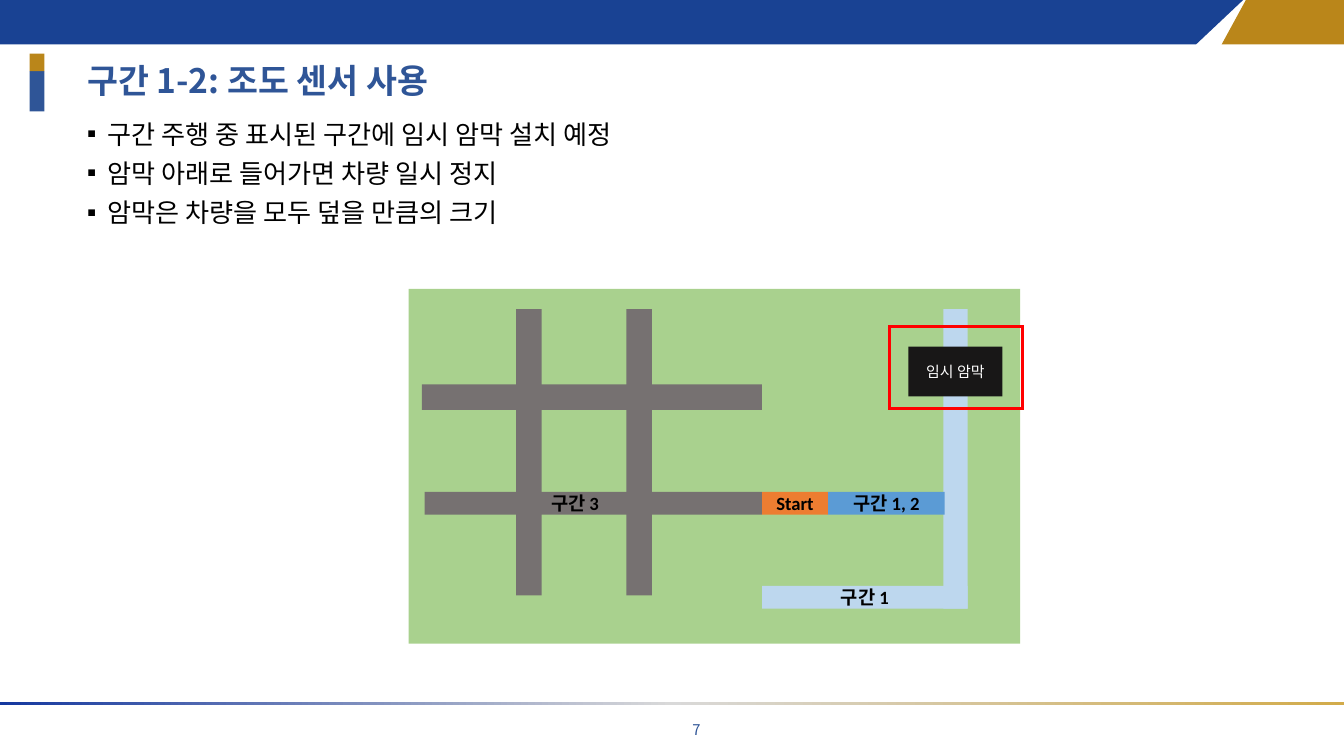
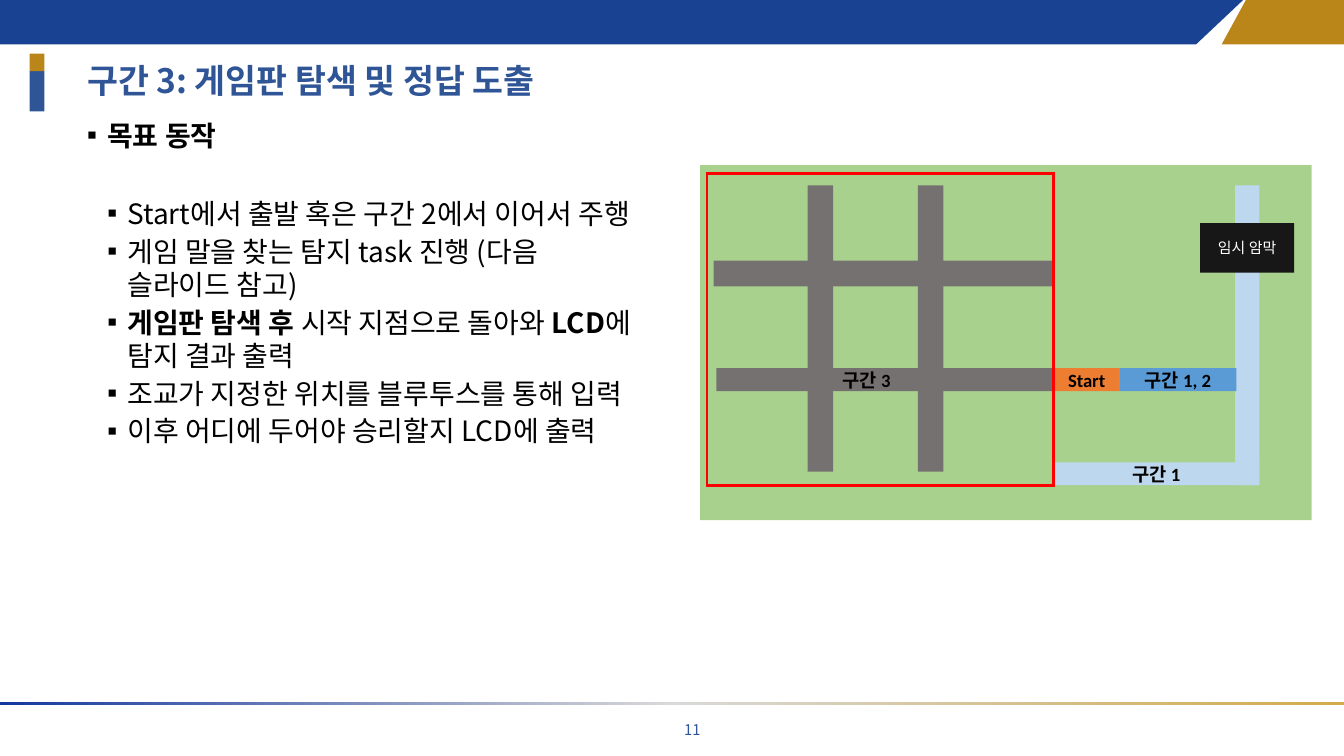
from typing import NamedTuple, Optional

from lxml import etree
from pptx import Presentation
from pptx.dml.color import RGBColor
from pptx.enum import shapes, text
from pptx.oxml import ns
from pptx.util import Inches, Pt

NAVY = RGBColor(0x19, 0x42, 0x93)
BLUE = RGBColor(0x2F, 0x55, 0x97)
GOLD = RGBColor(0xBA, 0x86, 0x1A)
BLACK = RGBColor(0, 0, 0)
WHITE = RGBColor(0xFF, 0xFF, 0xFF)
RED = RGBColor(0xFF, 0, 0)
GRASS = RGBColor(0xA9, 0xD1, 0x8E)
PALE_ROAD = RGBColor(0xBD, 0xD7, 0xEE)
BLUE_ROAD = RGBColor(0x5B, 0x9B, 0xD5)
GREY_ROAD = RGBColor(0x76, 0x71, 0x71)
ORANGE = RGBColor(0xED, 0x7D, 0x31)
CURTAIN = RGBColor(0x18, 0x17, 0x17)
RULE_STOPS = (
    RGBColor(0x15, 0x38, 0x9F),
    RGBColor(0xD9, 0xD9, 0xD9),
    RGBColor(0xD2, 0xAB, 0x4A),
)
KOREAN = "Noto Sans CJK KR"
LATIN = "Calibri"
ROAD = 0.19
LANE = 0.17


class Box(NamedTuple):
    left: float
    top: float
    width: float
    height: float


class Run(NamedTuple):
    words: str
    bold: bool = False


class Bullet(NamedTuple):
    runs: tuple[Run, ...]
    level: int = 0
    before: float = 4.2


class MapPart(NamedTuple):
    box: Box
    color: RGBColor
    label: str = ""
    size: float = 10
    label_color: RGBColor = BLACK
    bold: bool = True
    label_left: Optional[float] = None


class Page(NamedTuple):
    number: int
    title: str
    bullets: tuple[Bullet, ...]
    body_width: float
    body_size: float
    map_left: float
    map_top: float
    highlight: Box


COURSE_MAP = (
    MapPart(Box(0, 0, 4.55, 2.64), GRASS),
    MapPart(Box(2.63, 2.21, 1.53, LANE), PALE_ROAD, "구간 1"),
    MapPart(Box(3.98, 0.15, 0.18, 2.23), PALE_ROAD),
    MapPart(Box(3.72, 0.43, 0.7, 0.37), CURTAIN, "임시 암막", 8, WHITE, False),
    MapPart(Box(3.12, 1.51, 0.87, LANE), BLUE_ROAD, "구간 1, 2"),
    MapPart(Box(2.63, 1.51, 0.49, LANE), ORANGE, "Start"),
    MapPart(Box(0.12, 1.51, 2.51, LANE), GREY_ROAD, "구간 3", label_left=0.94),
    MapPart(Box(1.62, 0.15, ROAD, 2.13), GREY_ROAD),
    MapPart(Box(0.1, 0.71, 2.53, ROAD), GREY_ROAD),
    MapPart(Box(0.8, 0.15, ROAD, 2.13), GREY_ROAD),
)

PAGES = (
    Page(
        7,
        "구간 1-2: 조도 센서 사용",
        (
            Bullet((Run("구간 주행 중 표시된 구간에 임시 암막 설치 예정"),)),
            Bullet((Run("암막 아래로 들어가면 차량 일시 정지"),)),
            Bullet((Run("암막은 차량을 모두 덮을 만큼의 크기"),)),
        ),
        8.76, 14, 3.04, 2.15,
        Box(6.62, 2.43, 0.99, 0.61),
    ),
    Page(
        11,
        "구간 3: 게임판 탐색 및 정답 도출",
        (
            Bullet((Run("목표 동작", True),)),
            Bullet((Run("Start에서 출발 혹은 구간 2에서 이어서 주행"),), 1, 24),
            Bullet((Run("게임 말을 찾는 탐지 task 진행 (다음 슬라이드 참고)"),), 1, 2.1),
            Bullet(
                (
                    Run("게임판 탐색 후 ", True),
                    Run("시작 지점으로 돌아와 "),
                    Run("LCD", True),
                    Run("에 탐지 결과 출력"),
                ),
                1, 2.1,
            ),
            Bullet((Run("조교가 지정한 위치를 블루투스를 통해 입력"),), 1, 2.1),
            Bullet((Run("이후 어디에 두어야 승리할지 LCD에 출력"),), 1, 2.1),
        ),
        4.33, 15, 5.21, 1.23,
        Box(5.26, 1.29, 2.58, 2.32),
    ),
)


def place(box: Box) -> tuple:
    return tuple(Inches(length) for length in box)


def add_run(paragraph, words: str, *, size: float, color: RGBColor = BLACK,
            bold: bool = False, latin: str = KOREAN) -> None:
    run = paragraph.add_run()
    run.text = words
    font = run.font
    font.size, font.bold, font.name = Pt(size), bold, latin
    font.color.rgb = color


def add_text(slide, box: Box, words: str, *, size: float, bold: bool = False,
             align=text.PP_ALIGN.LEFT, spacing: float = 1.0) -> None:
    frame = slide.shapes.add_textbox(*place(box)).text_frame
    frame.word_wrap = True
    frame.vertical_anchor = text.MSO_ANCHOR.MIDDLE
    paragraph = frame.paragraphs[0]
    paragraph.alignment = align
    paragraph.line_spacing = spacing
    add_run(paragraph, words, size=size, color=BLUE, bold=bold)


def paint(shape, color: RGBColor):
    shape.shadow.inherit = False
    shape.fill.solid()
    shape.fill.fore_color.rgb = color
    shape.line.fill.background()
    return shape


def add_rect(owner, box: Box, color: RGBColor):
    return paint(owner.shapes.add_shape(shapes.MSO_SHAPE.RECTANGLE, *place(box)), color)


def add_band(slide, corners: tuple[tuple[float, float], ...], color: RGBColor) -> None:
    start, *rest = [(Inches(x), Inches(y)) for x, y in corners]
    builder = slide.shapes.build_freeform(*start)
    builder.add_line_segments(rest, close=True)
    paint(builder.convert_to_shape(), color)


def add_footer_rule(slide) -> None:
    rule = add_rect(slide, Box(0, 5.22, 10, 0.03), NAVY)
    rule.fill.gradient()
    rule.fill.gradient_angle = 0
    stops = rule._element.spPr.find(ns.qn("a:gradFill")).find(ns.qn("a:gsLst"))
    for stop in list(stops):
        stops.remove(stop)
    for index, color in enumerate(RULE_STOPS):
        stop = etree.SubElement(stops, ns.qn("a:gs"), pos=str(index * 50000))
        etree.SubElement(stop, ns.qn("a:srgbClr"), val=str(color))


def add_frame(slide, page: Page) -> None:
    add_footer_rule(slide)
    add_band(slide, ((0, 0), (0, 0.33), (8.9, 0.33), (9.25, 0)), NAVY)
    add_rect(slide, Box(0.22, 0.53, 0.11, 0.3), BLUE)
    add_rect(slide, Box(0.22, 0.4, 0.11, 0.13), GOLD)
    add_band(slide, ((10, 0.33), (10, 0), (9.27, 0), (9.09, 0.33)), GOLD)
    add_text(slide, Box(0.55, 0.4, 8.76, 0.43), page.title, size=18, bold=True, spacing=0.9)
    add_text(slide, Box(4.44, 5.28, 0.87, 0.3), str(page.number), size=7.9,
             align=text.PP_ALIGN.RIGHT)


def add_bullets(slide, page: Page) -> None:
    frame = slide.shapes.add_textbox(*place(Box(0.55, 0.83, page.body_width, 4.31))).text_frame
    frame.word_wrap = True
    for index, bullet in enumerate(page.bullets):
        paragraph = frame.add_paragraph() if index else frame.paragraphs[0]
        paragraph.level = bullet.level
        paragraph.space_before = Pt(bullet.before)
        properties = paragraph._p.get_or_add_pPr()
        properties.set("marL", str(Inches(0.15 * (bullet.level + 1))))
        properties.set("indent", str(-Inches(0.15)))
        etree.SubElement(properties, ns.qn("a:buFont"), typeface=LATIN)
        etree.SubElement(properties, ns.qn("a:buChar"), char="▪")
        for run in bullet.runs:
            add_run(paragraph, run.words, size=page.body_size, bold=run.bold)


def add_course_map(slide, page: Page) -> None:
    course = slide.shapes.add_group_shape()
    for part in COURSE_MAP:
        box = part.box._replace(left=page.map_left + part.box.left,
                                top=page.map_top + part.box.top)
        road = add_rect(course, box, part.color)
        if not part.label:
            continue
        frame = road.text_frame
        frame.word_wrap = part.label_left is not None
        frame.vertical_anchor = text.MSO_ANCHOR.MIDDLE
        frame.margin_top = frame.margin_bottom = 0
        paragraph = frame.paragraphs[0]
        paragraph.alignment = text.PP_ALIGN.CENTER
        if part.label_left is not None:
            frame.margin_left = Inches(part.label_left)
            paragraph.alignment = text.PP_ALIGN.LEFT
        add_run(paragraph, part.label, size=part.size, color=part.label_color,
                bold=part.bold, latin=LATIN)


def add_highlight(slide, box: Box) -> None:
    outline = add_rect(slide, box, RED)
    outline.fill.background()
    outline.line.color.rgb = RED
    outline.line.width = Pt(1.5)
    etree.SubElement(outline.line._get_or_add_ln(), ns.qn("a:miter"), lim="800000")


def main() -> None:
    deck = Presentation()
    deck.slide_width = Inches(10)
    deck.slide_height = deck.slide_width * 9 // 16
    for page in PAGES:
        slide = deck.slides.add_slide(deck.slide_layouts[6])
        add_frame(slide, page)
        add_bullets(slide, page)
        add_course_map(slide, page)
        add_highlight(slide, page.highlight)
    deck.save("out.pptx")


if __name__ == "__main__":
    main()
